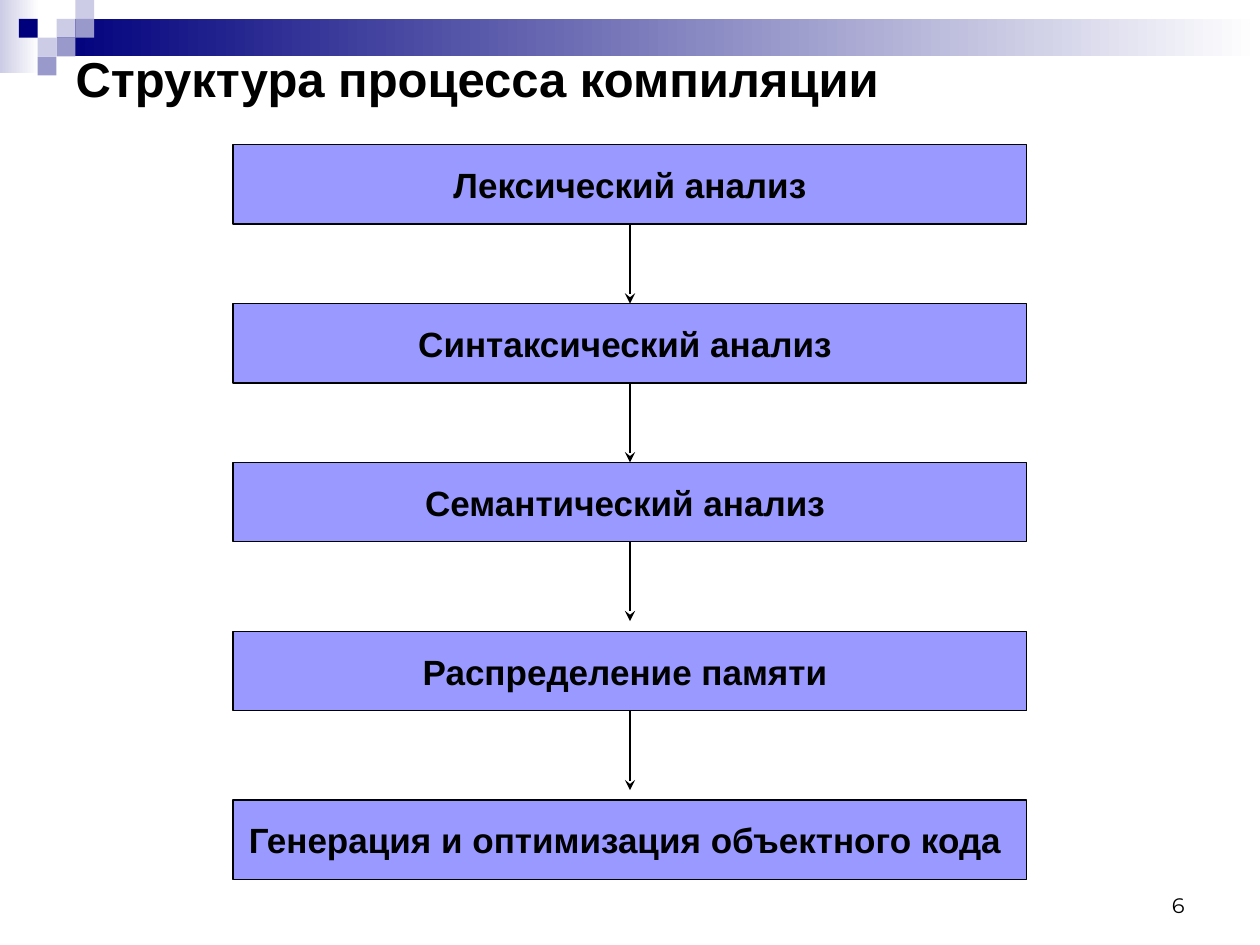
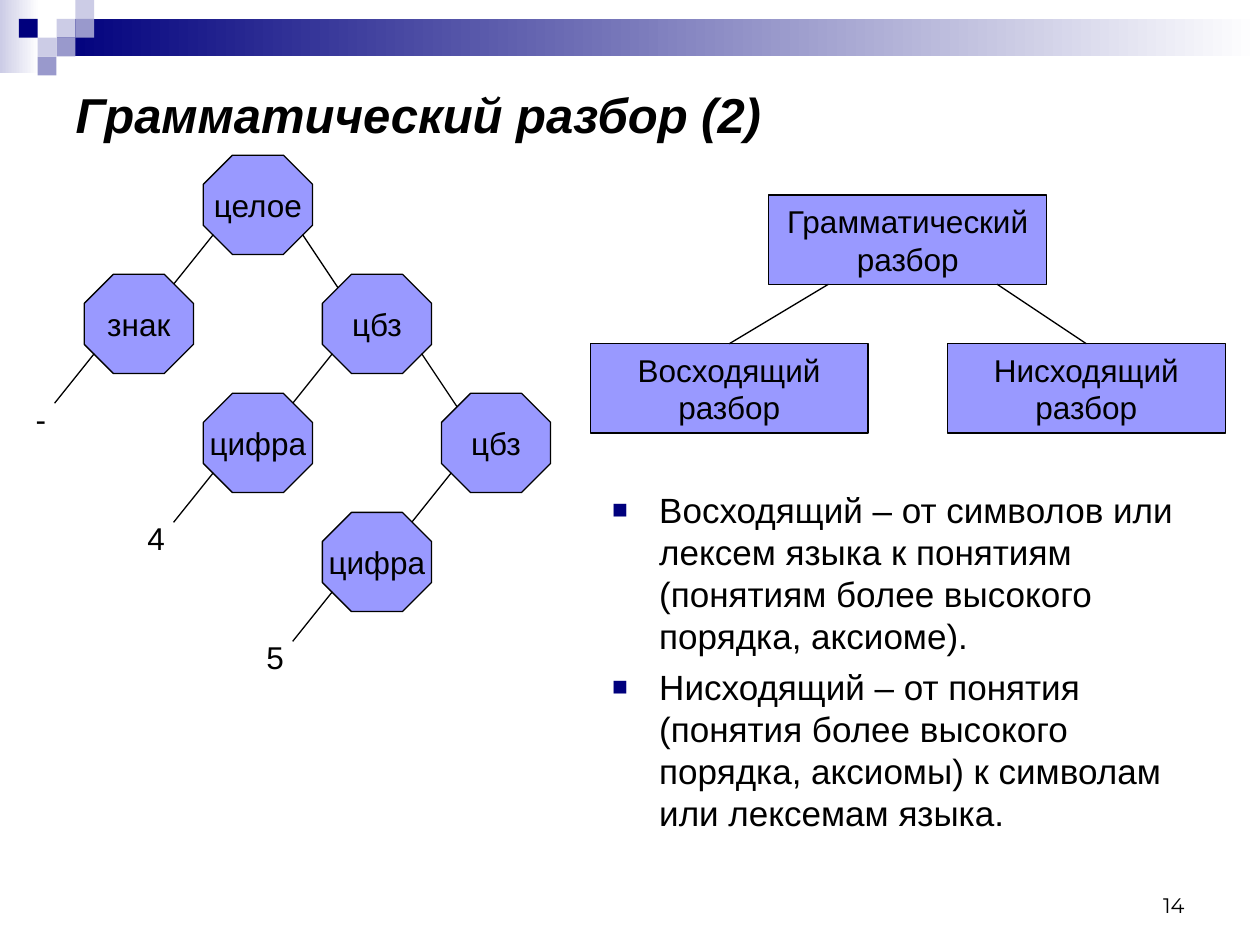
from dataclasses import dataclass
from typing import Any, Optional

from pptx import Presentation
from pptx import util as u
from pptx.dml.color import RGBColor
from pptx.enum import shapes as es, text as et
from pptx.oxml import ns, xmlchemy as xc


@dataclass(frozen=True)
class Theme:
    ink: str = "000000"
    node: str = "9999FF"
    navy: str = "00007D"
    pale: str = "CCCCE6"
    mid: str = "9999CC"
    white: str = "FFFFFF"
    font: str = "Arial"
    page_font: str = "Montserrat"
    head: float = 28
    gap: float = 40
    body: float = 20
    label: float = 18
    page: float = 12
    line: float = 0.75


@dataclass(frozen=True)
class Box:
    """Place and size in centimetres."""
    left: float
    top: float
    width: float
    height: float

    @property
    def cm(self) -> tuple:
        return tuple(u.Cm(v) for v in (self.left, self.top, self.width, self.height))

    @property
    def base(self) -> float:
        return self.top + self.height

    @property
    def mid(self) -> float:
        return self.left + self.width / 2


@dataclass(frozen=True)
class Node:
    """Parse tree node on a grid, with its branches and optional leaf."""
    text: str
    col: int
    row: int
    left: bool = True
    right: bool = False
    leaf: Optional[str] = None
    leaf_width: float = 0.86


T = Theme()
OCT, RECT = es.MSO_SHAPE.OCTAGON, es.MSO_SHAPE.RECTANGLE
CENTER, RIGHT, LEFT = et.PP_ALIGN.CENTER, et.PP_ALIGN.RIGHT, et.PP_ALIGN.LEFT
MIDDLE, TOP, BOTTOM = et.MSO_ANCHOR.MIDDLE, et.MSO_ANCHOR.TOP, et.MSO_ANCHOR.BOTTOM


# Shared helpers
def color(code: str) -> RGBColor:
    return RGBColor.from_string(code)


def add_tag(parent: Any, name: str, **attrs: str) -> Any:
    tag = xc.OxmlElement(name)
    for key, value in attrs.items():
        tag.set(key, value)
    parent.append(tag)
    return tag


def write(frame: Any, text: str, *, size: float = T.label, bold: bool = False,
          slant: bool = False, font: str = T.font, align: Any = LEFT,
          anchor: Any = TOP, wrap: bool = True, bullet: bool = False) -> None:
    frame.auto_size = et.MSO_AUTO_SIZE.NONE
    frame.word_wrap, frame.vertical_anchor = wrap, anchor
    for i, line in enumerate(text.split("\n")):
        para = frame.add_paragraph() if i else frame.paragraphs[0]
        para.alignment = align
        run = para.add_run()
        run.text = line
        run.font.name, run.font.size = font, u.Pt(size)
        run.font.bold, run.font.italic = bold, slant
        run.font.color.rgb = color(T.ink)
        if bullet:
            mark(para)


def mark(para: Any) -> None:
    """Give a paragraph a square bullet with a hanging indent."""
    para.space_before = u.Pt(5)
    props = para._p.get_or_add_pPr()
    hang = u.Cm(0.95)
    props.set("marL", str(hang))
    props.set("indent", str(-hang))
    add_tag(add_tag(props, "a:buClr"), "a:srgbClr", val=T.navy)
    add_tag(props, "a:buSzPct", val="75000")
    add_tag(props, "a:buFont", typeface=T.font)
    add_tag(props, "a:buChar", char="■")


def add_text(slide: Any, box: Box, text: str, **style: Any) -> None:
    write(slide.shapes.add_textbox(*box.cm).text_frame, text, **style)


def add_node(slide: Any, box: Box, text: str, kind: Any = RECT, **style: Any) -> None:
    shape = slide.shapes.add_shape(kind, *box.cm)
    shape.shadow.inherit = False
    shape.fill.solid()
    shape.fill.fore_color.rgb = color(T.node)
    shape.line.color.rgb = color(T.ink)
    shape.line.width = u.Pt(T.line)
    if kind == OCT:
        shape.adjustments[0] = 0.293
    write(shape.text_frame, text, align=CENTER, anchor=MIDDLE, wrap=False, **style)


def add_line(slide: Any, x: float, y: float, to_x: float, to_y: float,
             arrow: bool = False) -> None:
    ends = (u.Cm(v) for v in (x, y, to_x, to_y))
    line = slide.shapes.add_connector(es.MSO_CONNECTOR.STRAIGHT, *ends)
    line.line.color.rgb = color(T.ink)
    line.line.width = u.Pt(T.line)
    props = line.element.spPr
    if arrow:
        add_tag(props.find(ns.qn("a:ln")), "a:tailEnd", type="stealth")
    add_tag(props, "a:effectLst")


# Header band, placed once on the layout
def add_band(slide: Any) -> None:
    unit = 0.38
    cells = [(3, 1, T.pale), (4, 0, T.pale), (4, 1, T.mid), (2, 2, T.pale),
             (1, 1, T.navy), (3, 2, T.mid), (2, 3, T.mid)]
    parts = [(Box(0, 0, 0.79, 1.47), (T.pale, T.white)),
             (Box(3 * unit, unit, 25.4 - 3 * unit, 2 * unit), (T.navy, T.white))]
    parts += [(Box(col * unit, row * unit, unit, unit), (tone,))
              for col, row, tone in cells]
    tree = slide.slide_layout.shapes.element
    for i, (box, tones) in enumerate(parts):
        shape = slide.shapes.add_shape(RECT, *box.cm)
        shape.shadow.inherit = False
        shape.line.fill.background()
        if len(tones) == 1:
            shape.fill.solid()
            shape.fill.fore_color.rgb = color(tones[0])
        else:
            shape.fill.gradient()
            shape.fill.gradient_angle = 0
            for stop, tone in zip(shape.fill.gradient_stops, tones):
                stop.color.rgb = color(tone)
        shape.element.nvSpPr.cNvPr.set("id", str(100 + i))
        tree.append(shape.element)


def add_slide(deck: Any, title: str, box: Box, page: int, slant: bool = False) -> Any:
    slide = deck.slides.add_slide(deck.slide_layouts[5])
    head = slide.shapes.title
    head.left, head.top, head.width, head.height = box.cm
    write(head.text_frame, title, size=T.head, bold=True, slant=slant, anchor=MIDDLE)
    add_text(slide, Box(18.21, 17.35, 5.92, 1.27), str(page), size=T.page,
             font=T.page_font, align=RIGHT, anchor=BOTTOM)
    return slide


# Compiler stages
def draw_stages(deck: Any) -> None:
    slide = add_slide(deck, "Структура процесса компиляции",
                      Box(1.27, 0.91, 22.86, 0.99), 6)
    add_band(slide)
    # A taller closing space sets the line height of this title
    space = slide.shapes.title.text_frame.paragraphs[0].add_run()
    space.text, space.font.size, space.font.name = " ", u.Pt(T.gap), T.font

    stages = [(2.92, "Лексический анализ"), (6.12, "Синтаксический анализ "),
              (9.32, "Семантический анализ "), (12.73, "Распределение памяти "),
              (16.13, "Генерация и оптимизация объектного кода ")]
    boxes = [Box(4.7, top, 16, 1.6) for top, _ in stages]
    for box, (_, name) in zip(boxes, stages):
        add_node(slide, box, name, size=T.body, bold=True)
    for box in boxes[:-1]:
        add_line(slide, box.mid, box.base, box.mid, box.base + 1.6, arrow=True)


# Parse tree and kinds of parsing
def draw_tree(slide: Any) -> None:
    step = 2.4
    nodes = [Node("целое", 1, 0, right=True), Node("знак", 0, 1, leaf="-", leaf_width=0.71),
             Node("цбз", 2, 1, right=True), Node("цифра", 1, 2, leaf="4"),
             Node("цбз", 3, 2), Node("цифра", 2, 3, leaf="5")]
    for node in nodes:
        box = Box(1.7 + node.col * step, 3.13 + node.row * step, 2.2, 2)
        add_node(slide, box, node.text, OCT)
        y = box.top + 1.6
        if node.left:
            add_line(slide, box.left + 0.2, y, box.left - 0.6, y + 1)
        if node.right:
            add_line(slide, box.left + 2, y, box.left + 2.8, y + 1.2)
        if node.leaf:
            spot = Box(box.left - 0.52 - node.leaf_width, box.top + step,
                       node.leaf_width, 1.01)
            add_text(slide, spot, node.leaf, wrap=False)


def draw_kinds(slide: Any) -> None:
    root = Box(15.5, 3.93, 5.6, 1.8)
    add_node(slide, root, "Грамматический\nразбор")
    for left, start, name in [(11.9, 1.2, "Восходящий"), (19.1, 4.6, "Нисходящий")]:
        box = Box(left, 6.93, 5.6, 1.8)
        add_node(slide, box, f"{name}\nразбор")
        add_line(slide, root.left + start, root.base, box.mid, box.top)


def draw_parsing(deck: Any) -> None:
    slide = add_slide(deck, "Грамматический разбор (2)",
                      Box(1.27, 1.27, 22.86, 2.06), 14, slant=True)
    add_text(slide, Box(12.09, 9.73, 12.6, 8),
             "Восходящий – от символов или лексем языка к понятиям "
             "(понятиям более высокого порядка, аксиоме).\n"
             "Нисходящий – от понятия (понятия более высокого порядка, "
             "аксиомы) к символам или лексемам языка.",
             size=T.body, bullet=True)
    draw_kinds(slide)
    draw_tree(slide)


def main() -> None:
    deck = Presentation()
    deck.slide_width, deck.slide_height = u.Cm(25.4), u.Cm(19.05)
    draw_stages(deck)
    draw_parsing(deck)
    deck.save("out.pptx")


if __name__ == "__main__":
    main()
